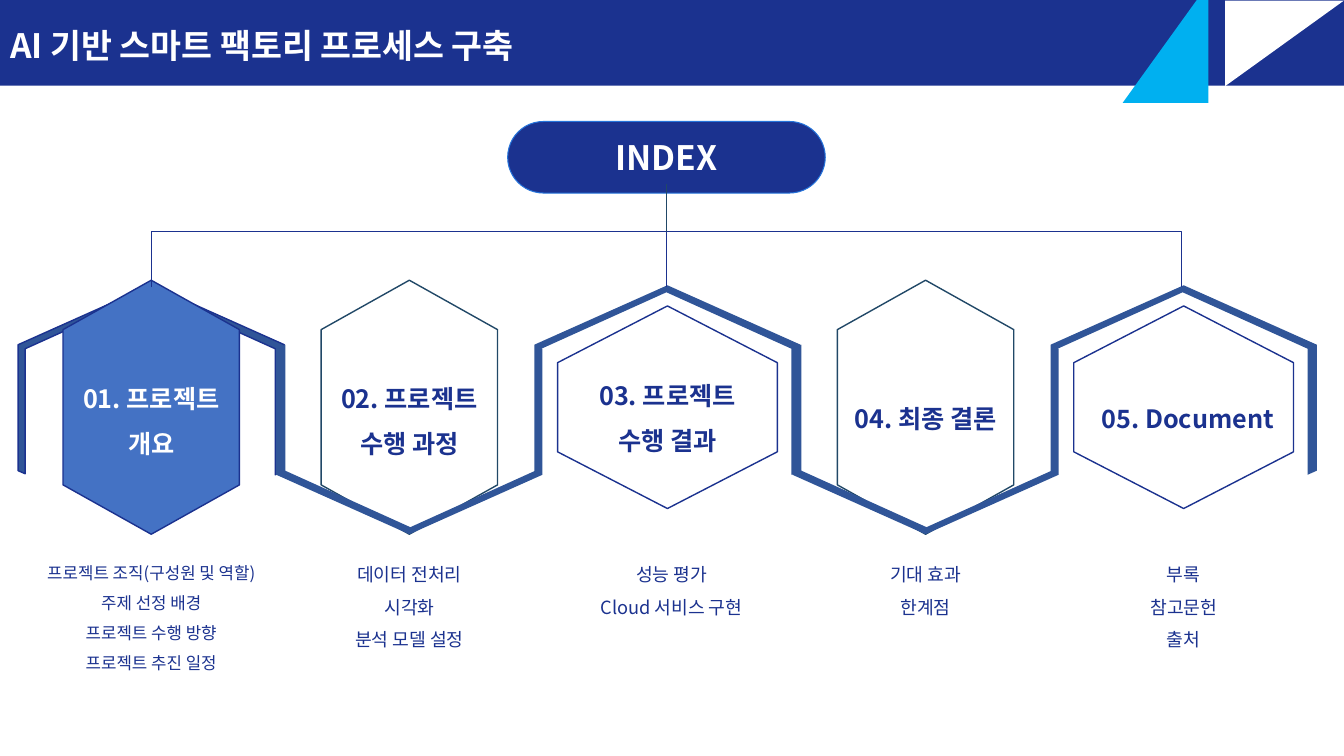
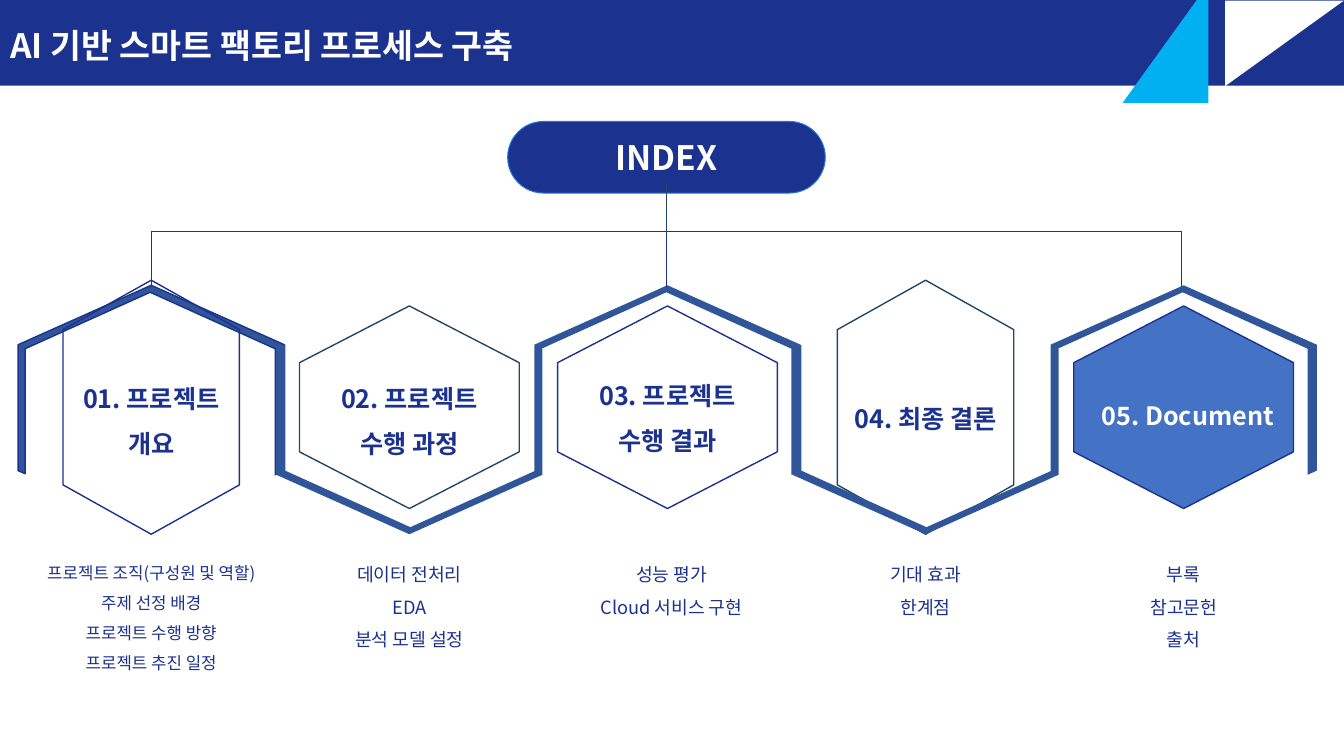
from lxml import etree
from pptx import Presentation
from pptx.dml.color import RGBColor
from pptx.enum import shapes as kinds, text as styles
from pptx.oxml import ns
from pptx.util import Inches, Pt

FONT = "Noto Sans CJK KR"
NAVY = RGBColor(0x1B, 0x32, 0x8F)
FRAME_BLUE = RGBColor(0x30, 0x55, 0x98)
ACTIVE_BLUE = RGBColor(0x44, 0x72, 0xC4)
TEAL = RGBColor(0x21, 0x48, 0x67)
PILL_EDGE = RGBColor(0x25, 0x74, 0xDB)
CYAN = RGBColor(0x00, 0xB0, 0xF0)
WHITE = RGBColor(0xFF, 0xFF, 0xFF)

TITLE = "AI 기반 스마트 팩토리 프로세스 구축"

# heading lines, heading top, detail lines, detail size, detail shift
OVERVIEW = (["01. 프로젝트", "개요"], 3.6,
            ["프로젝트 조직(구성원 및 역할)", "주제 선정 배경",
             "프로젝트 수행 방향", "프로젝트 추진 일정"], 12, 0)
RESULTS = (["03. 프로젝트", "수행 결과"], 3.57,
           ["성능 평가", "Cloud 서비스 구현"], 13, 0.04)
CONCLUSION = (["04. 최종 결론"], 3.8, ["기대 효과", "한계점"], 13, 0)


def process(second_step):
    return (["02. 프로젝트", "수행 과정"], 3.6,
            ["데이터 전처리", second_step, "분석 모델 설정"], 13, 0)


def document(heading_top):
    return ["05. Document"], heading_top, ["부록", "참고문헌", "출처"], 13, 0


# sections, active section, sections with a tall hexagon
SLIDES = [
    ([OVERVIEW, process("시각화"), RESULTS, CONCLUSION, document(3.8)], 0, {0, 1, 3}),
    ([OVERVIEW, process("EDA"), RESULTS, CONCLUSION, document(3.77)], 4, {0, 3}),
]

FIRST_X, PITCH = 1.5, 2.56
HEXAGON_Y = 4.04
HEXAGON_SIZE, TALL_SIZE = (2.01, 2.18), (2.52, 1.75)  # before the quarter turn
FRAME_TOP, FRAME_BOTTOM = 2.83, 5.3
FRAME_OUTLINE = [(0, 0), (1.32, 0.59), (1.32, 1.84), (1.23, 1.88), (1.23, 0.63),
                 (-0.01, 0.07), (-1.25, 0.63), (-1.25, 1.87), (-1.32, 1.84), (-1.32, 0.59)]
INDEX_X, BRACKET_Y, BRACKET_DROP, BRACKET_SPAN = 6.61, 2.3, 0.55, 5.11


def paint(shape, fill=None, line=None, width=1):
    shape.shadow.inherit = False
    if fill is None:
        shape.fill.background()
    else:
        shape.fill.solid()
        shape.fill.fore_color.rgb = fill
    if line is None:
        shape.line.fill.background()
    else:
        shape.line.color.rgb = line
        shape.line.width = Pt(width)


def write(frame, lines, size, color, bold=False, align=styles.PP_ALIGN.CENTER, spacing=1.5):
    frame.word_wrap = True
    frame.text = "\n".join(lines)
    for paragraph in frame.paragraphs:
        paragraph.alignment = align
        paragraph.line_spacing = spacing
        font = paragraph.font
        font.size, font.bold, font.name = Pt(size), bold, FONT
        font.color.rgb = color
        properties = paragraph._p.pPr.find(ns.qn("a:defRPr"))
        etree.SubElement(properties, ns.qn("a:ea"), typeface=FONT)


def add_centred(slide, kind, x, y, width, height, rotation=0):
    """Add a preset shape around its centre; the size is the one before rotation."""
    shape = slide.shapes.add_shape(kind, Inches(x - width / 2), Inches(y - height / 2),
                                   Inches(width), Inches(height))
    shape.rotation = rotation
    return shape


def add_lines(slide, lines, x, top, width, size, color, bold=False):
    height = 0.1 + len(lines) * size * 0.025
    box = slide.shapes.add_textbox(Inches(x - width / 2), Inches(top),
                                   Inches(width), Inches(height))
    write(box.text_frame, lines, size, color, bold)
    box.text_frame.auto_size = styles.MSO_AUTO_SIZE.SHAPE_TO_FIT_TEXT


def add_header(slide):
    title = slide.shapes.title
    title.left, title.top, title.width, title.height = map(Inches, (0, 0, 13.33, 0.85))
    title.fill.solid()
    title.fill.fore_color.rgb = NAVY
    write(title.text_frame, [TITLE], 24, WHITE, True, styles.PP_ALIGN.LEFT)
    title.text_frame.vertical_anchor = styles.MSO_ANCHOR.TOP
    title.text_frame.auto_size = styles.MSO_AUTO_SIZE.NONE
    triangle = kinds.MSO_SHAPE.RIGHT_TRIANGLE
    paint(add_centred(slide, triangle, 12.74, 0.43, 0.85, 1.18, 90), WHITE)
    paint(add_centred(slide, triangle, 11.56, 0.43, 1.18, 0.85, 270), CYAN)


def add_frame(slide, x, downward, line):
    sign, start = (-1, FRAME_BOTTOM) if downward else (1, FRAME_TOP)
    points = [(Inches(x + sign * dx), Inches(start + sign * dy)) for dx, dy in FRAME_OUTLINE]
    builder = slide.shapes.build_freeform(*points[0])
    builder.add_line_segments(points[1:])
    paint(builder.convert_to_shape(), FRAME_BLUE, line)


def add_hexagon(slide, x, size, fill, line):
    hexagon = add_centred(slide, kinds.MSO_SHAPE.HEXAGON, x, HEXAGON_Y, *size, 270)
    hexagon.adjustments[0] = 0.28
    paint(hexagon, fill, line)


def add_index(slide):
    for side in (-1, 1):
        bracket = add_centred(slide, kinds.MSO_SHAPE.LEFT_BRACKET,
                              INDEX_X + side * BRACKET_SPAN / 2, BRACKET_Y + BRACKET_DROP / 2,
                              BRACKET_DROP, BRACKET_SPAN, 90)
        bracket.adjustments[0] = 0
        paint(bracket, line=NAVY, width=0.75)
    pill = add_centred(slide, kinds.MSO_SHAPE.ROUNDED_RECTANGLE, INDEX_X, 1.56, 3.15, 0.71)
    pill.adjustments[0] = 0.5
    paint(pill, NAVY, PILL_EDGE, 0.75)
    write(pill.text_frame, ["INDEX"], 24, WHITE, True, spacing=1)
    pill.text_frame.vertical_anchor = styles.MSO_ANCHOR.MIDDLE
    stem = slide.shapes.add_connector(kinds.MSO_CONNECTOR.STRAIGHT, Inches(INDEX_X),
                                      Inches(1.83), Inches(INDEX_X), Inches(BRACKET_Y))
    stem.line.color.rgb = TEAL
    stem.line.width = Pt(0.75)
    etree.SubElement(stem._element.spPr, ns.qn("a:effectLst"))


def add_section(slide, position, section, active, tall):
    heading, heading_top, details, detail_size, detail_shift = section
    x = FIRST_X + position * PITCH
    downward = position % 2 == 1
    size = TALL_SIZE if tall else HEXAGON_SIZE
    fill = ACTIVE_BLUE if active else None
    if downward:
        add_hexagon(slide, x, size, fill, TEAL)
        add_frame(slide, x, True, None)
    else:
        add_frame(slide, x, False, NAVY if position == 0 else None)
        add_hexagon(slide, x, size, fill, NAVY)
    heading_x = x + (0.04 if position == 4 else 0)
    add_lines(slide, heading, heading_x, heading_top, 2.25, 18, WHITE if active else NAVY, True)
    add_lines(slide, details, x + detail_shift, 5.43, 2.55, detail_size, NAVY)


def main():
    deck = Presentation()
    deck.slide_width, deck.slide_height = Inches(13.33), Inches(7.5)
    for sections, active, tall in SLIDES:
        slide = deck.slides.add_slide(deck.slide_layouts[5])
        add_header(slide)
        for position, section in enumerate(sections):
            add_section(slide, position, section, position == active, position in tall)
        add_index(slide)
    deck.save("out.pptx")


if __name__ == "__main__":
    main()
